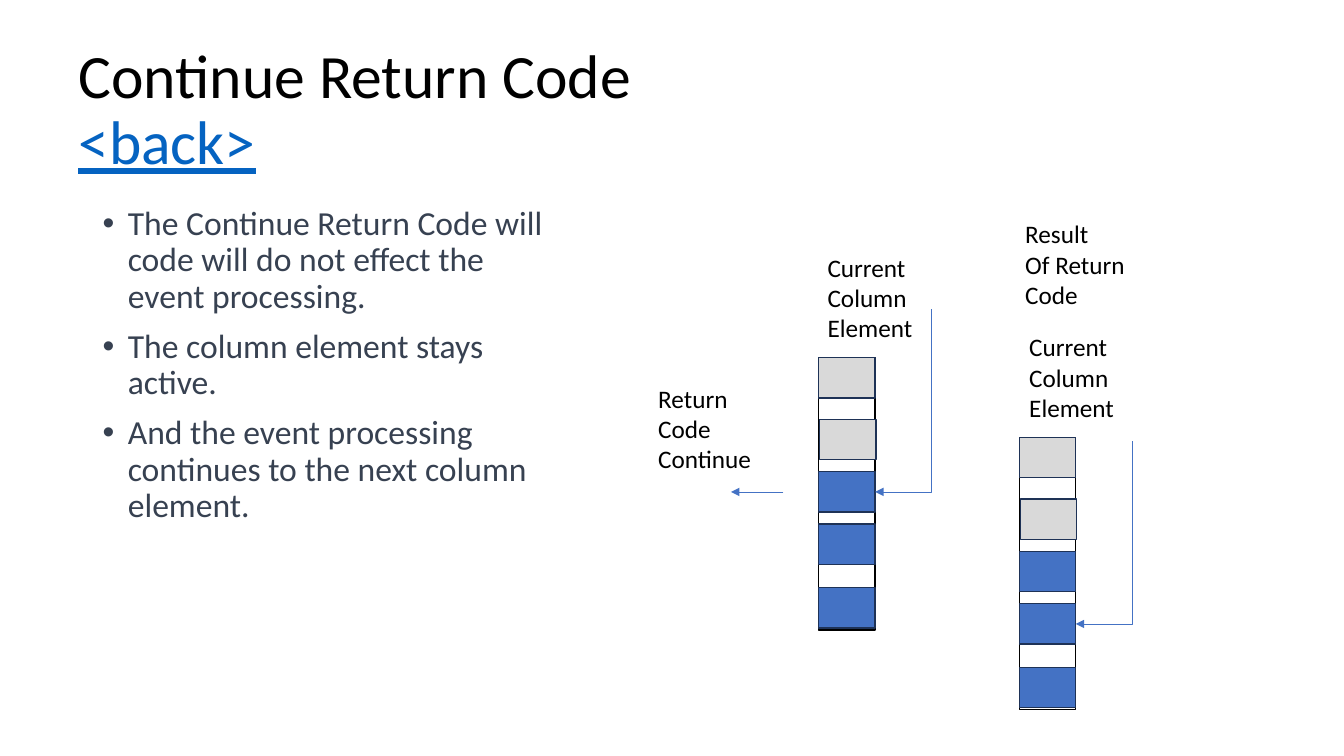
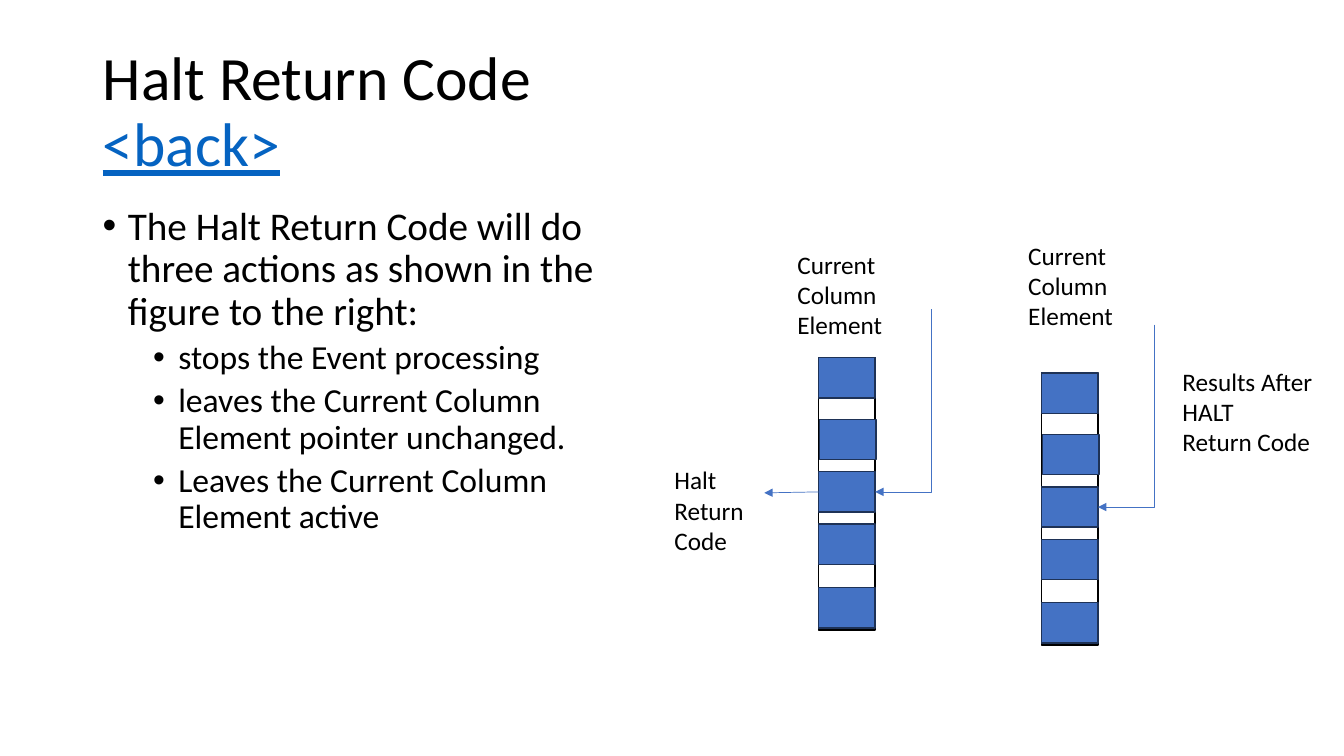
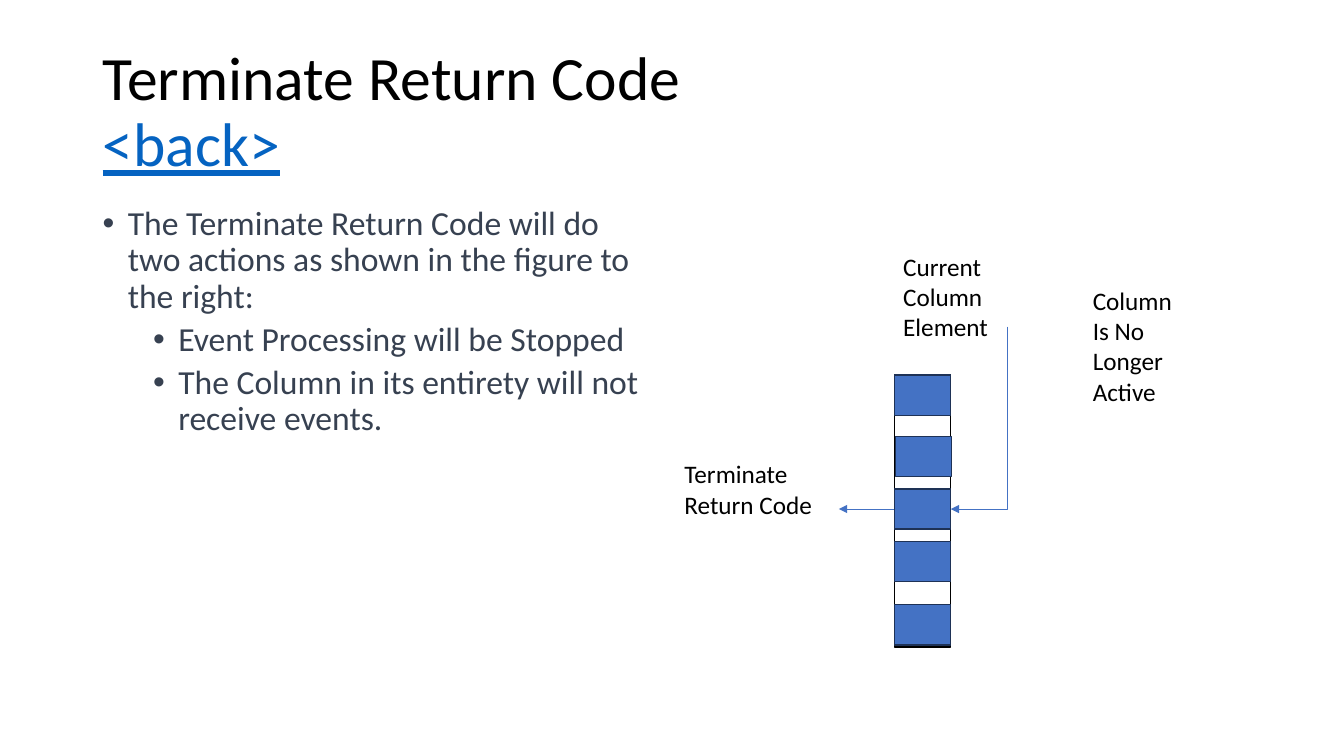
"""Build three slides that explain the return codes of a column of elements."""

from dataclasses import dataclass
from typing import Any

from lxml import etree
from pptx import Presentation
from pptx.dml.color import RGBColor
from pptx.enum.shapes import MSO_CONNECTOR, MSO_SHAPE
from pptx.enum.text import MSO_ANCHOR
from pptx.oxml.ns import qn
from pptx.util import Inches, Pt

BLACK = RGBColor(0x00, 0x00, 0x00)
WHITE = RGBColor(0xFF, 0xFF, 0xFF)
SLATE = RGBColor(0x37, 0x41, 0x51)
LINK_BLUE = RGBColor(0x05, 0x63, 0xC1)
GRAY = RGBColor(0xD9, 0xD9, 0xD9)
BLUE = RGBColor(0x44, 0x72, 0xC4)
NAVY = RGBColor(0x1E, 0x32, 0x56)

RECTANGLE = MSO_SHAPE.RECTANGLE
STRAIGHT = MSO_CONNECTOR.STRAIGHT
ELBOW = MSO_CONNECTOR.ELBOW
MIDDLE = MSO_ANCHOR.MIDDLE
LEFT_SIDE = 1

FONT_NAME = "Calibri"
BLOCK_WIDTH = 0.56
BLOCK_HEIGHT = 0.4
COLUMN_HEIGHT = 2.7
BLOCK_OFFSETS = ((0, 0), (0.01, 0.61), (0, 1.13), (0, 1.65), (0, 2.28))
POINTER_HEIGHT = 1.81
INDENT = 0.25
LEVEL_STEP = 0.5


@dataclass(frozen=True)
class Bullet:
    text: str
    level: int = 0
    size: int = 24


@dataclass(frozen=True)
class Label:
    left: float
    top: float
    width: float
    lines: tuple[str, ...]


@dataclass(frozen=True)
class Column:
    left: float
    top: float
    current: int = 2
    inactive: int = 0


@dataclass(frozen=True)
class ReturnArrow:
    start: float
    end: float
    y: float
    joined: bool = True


@dataclass(frozen=True)
class CodeSlide:
    title: str
    title_left: float
    title_top: float
    body_width: float
    body_color: RGBColor
    bullets: tuple[Bullet, ...]
    columns: tuple[Column, ...]
    arrow: ReturnArrow
    labels: tuple[Label, ...]


ELEMENT_LINES = ("Current", "Column", "Element")

CODE_SLIDES = (
    CodeSlide(
        "Continue Return Code", 0.68, 0.38, 4.64, SLATE,
        (
            Bullet("The Continue Return Code will code will do not effect the event processing."),
            Bullet("The column element stays active."),
            Bullet("And the event processing continues to the next column element."),
        ),
        (Column(8.12, 3.55, inactive=2), Column(10.11, 4.34, current=3, inactive=2)),
        ReturnArrow(7.77, 7.25, 4.88, joined=False),
        (
            Label(8.11, 2.45, 1.37, ("Current", "Column Element")),
            Label(6.43, 3.75, 1.28, ("Return", "Code", "Continue")),
            Label(10.07, 2.12, 1.49, ("Result", "Of Return Code")),
            Label(10.11, 3.24, 1.37, ("Current", "Column Element")),
        ),
    ),
    CodeSlide(
        "Halt Return Code", 0.92, 0.4, 5.67, BLACK,
        (
            Bullet("The Halt Return Code will do three actions as shown in the figure to the right:", size=28),
            Bullet("stops the Event processing", 1),
            Bullet("leaves the Current Column Element pointer unchanged.", 1),
            Bullet("Leaves the Current Column Element active", 1),
        ),
        (Column(8.12, 3.55), Column(10.33, 3.7)),
        ReturnArrow(8.12, 7.58, 4.89),
        (
            Label(10.1, 2.33, 1.37, ELEMENT_LINES),
            Label(11.63, 3.58, 1.57, ("Results After", "HALT \vReturn Code")),
            Label(7.81, 2.42, 1.05, ELEMENT_LINES),
            Label(6.59, 4.56, 0.99, ("Halt", "Return", "Code")),
        ),
    ),
    CodeSlide(
        "Terminate Return Code", 0.92, 0.4, 5.67, SLATE,
        (
            Bullet("The Terminate Return Code will do two actions as shown in the figure to the right:"),
            Bullet("Event Processing will be Stopped", 1),
            Bullet("The Column in its entirety will not receive events.", 1),
        ),
        (Column(8.87, 3.72),),
        ReturnArrow(8.87, 8.32, 5.05),
        (
            Label(8.86, 2.44, 1.37, ELEMENT_LINES),
            Label(10.74, 2.78, 1.37, ("Column", "Is No Longer", "Active")),
            Label(6.69, 4.5, 1.53, ("Terminate", "Return Code")),
        ),
    ),
)


def apply_format(target: Any, values: dict[str, Any]) -> None:
    for name, value in values.items():
        setattr(target, name, value)


def style_run(run: Any, size: int, color: RGBColor, underline: bool = False) -> None:
    apply_format(run.font, {"name": FONT_NAME, "size": Pt(size), "underline": underline or None})
    run.font.color.rgb = color


def add_text_frame(slide: Any, left: float, top: float, width: float, height: float) -> Any:
    box = slide.shapes.add_textbox(Inches(left), Inches(top), Inches(width), Inches(height))
    box.text_frame.word_wrap = True
    return box.text_frame


def add_paragraphs(text_frame: Any, texts: list[str]) -> Any:
    text_frame.text = "\n".join(texts)
    return text_frame.paragraphs


def add_title(slide: Any, content: CodeSlide) -> None:
    text_frame = add_text_frame(slide, content.title_left, content.title_top, 11.5, 1.45)
    text_frame.vertical_anchor = MIDDLE
    paragraph = text_frame.paragraphs[0]
    paragraph.text = f"{content.title}\v<back>"
    paragraph.line_spacing = 0.9
    name_run, back_run = paragraph.runs
    style_run(name_run, 44, BLACK)
    style_run(back_run, 44, LINK_BLUE, underline=True)


def add_body(slide: Any, content: CodeSlide) -> None:
    text_frame = add_text_frame(slide, 0.92, 2, content.body_width, 4.76)
    paragraphs = add_paragraphs(text_frame, [bullet.text for bullet in content.bullets])
    for paragraph, bullet in zip(paragraphs, content.bullets):
        space_before = Pt(5 if bullet.level else 10)
        apply_format(paragraph, {"level": bullet.level, "line_spacing": 0.9, "space_before": space_before})
        properties = paragraph._p.get_or_add_pPr()
        properties.set("marL", str(Inches(INDENT + LEVEL_STEP * bullet.level)))
        properties.set("indent", str(Inches(-INDENT)))
        etree.SubElement(properties, qn("a:buFont")).set("typeface", "Arial")
        etree.SubElement(properties, qn("a:buChar")).set("char", "•")
        style_run(paragraph.runs[0], bullet.size, content.body_color)


def add_label(slide: Any, label: Label) -> None:
    text_frame = add_text_frame(slide, label.left, label.top, label.width, 1.01)
    for paragraph in add_paragraphs(text_frame, list(label.lines)):
        for run in paragraph.runs:
            style_run(run, 18, BLACK)


def add_rectangle(slide: Any, left: float, top: float, height: float, fill: RGBColor, line: RGBColor) -> Any:
    shape = slide.shapes.add_shape(RECTANGLE, Inches(left), Inches(top), Inches(BLOCK_WIDTH), Inches(height))
    shape.shadow.inherit = False
    shape.fill.solid()
    shape.fill.fore_color.rgb = fill
    shape.line.color.rgb = line
    shape.line.width = Pt(1)
    return shape


def add_arrow(slide: Any, kind: Any, start: tuple[float, float], end: tuple[float, float]) -> Any:
    points = [Inches(value) for value in (*start, *end)]
    connector = slide.shapes.add_connector(kind, *points)
    connector.line.color.rgb = BLUE
    connector.line.width = Pt(0.5)
    etree.SubElement(connector.line._get_or_add_ln(), qn("a:tailEnd")).set("type", "triangle")
    etree.SubElement(connector._element.spPr, qn("a:effectLst"))
    return connector


def add_pointer(slide: Any, column: Column) -> None:
    end_x = column.left + BLOCK_WIDTH
    end_y = column.top + BLOCK_OFFSETS[column.current][1] + BLOCK_HEIGHT / 2
    center_x = end_x + BLOCK_WIDTH / 2
    center_y = end_y - POINTER_HEIGHT / 2
    half_width, half_height = POINTER_HEIGHT / 2, BLOCK_WIDTH / 2
    connector = add_arrow(
        slide,
        ELBOW,
        (center_x - half_width, center_y - half_height),
        (center_x + half_width, center_y + half_height),
    )
    properties = connector._element.spPr
    properties.find(qn("a:xfrm")).set("rot", str(90 * 60000))
    properties.find(qn("a:prstGeom")).set("prst", "bentConnector2")


def add_column(slide: Any, column: Column) -> Any:
    add_rectangle(slide, column.left, column.top, COLUMN_HEIGHT, WHITE, BLACK)
    blocks = [
        add_rectangle(
            slide,
            column.left + shift,
            column.top + drop,
            BLOCK_HEIGHT,
            GRAY if index < column.inactive else BLUE,
            NAVY,
        )
        for index, (shift, drop) in enumerate(BLOCK_OFFSETS)
    ]
    add_pointer(slide, column)
    return blocks[column.current]


def add_code_slide(presentation: Any, content: CodeSlide) -> None:
    slide = presentation.slides.add_slide(presentation.slide_layouts[6])
    add_title(slide, content)
    add_body(slide, content)
    current_blocks = [add_column(slide, column) for column in content.columns]
    arrow = content.arrow
    connector = add_arrow(slide, STRAIGHT, (arrow.start, arrow.y), (arrow.end, arrow.y))
    if arrow.joined:
        connector.begin_connect(current_blocks[0], LEFT_SIDE)
    for label in content.labels:
        add_label(slide, label)


def main() -> None:
    presentation = Presentation()
    apply_format(presentation, {"slide_width": Inches(13.33), "slide_height": Inches(7.5)})
    for content in CODE_SLIDES:
        add_code_slide(presentation, content)
    presentation.save("out.pptx")


if __name__ == "__main__":
    main()
